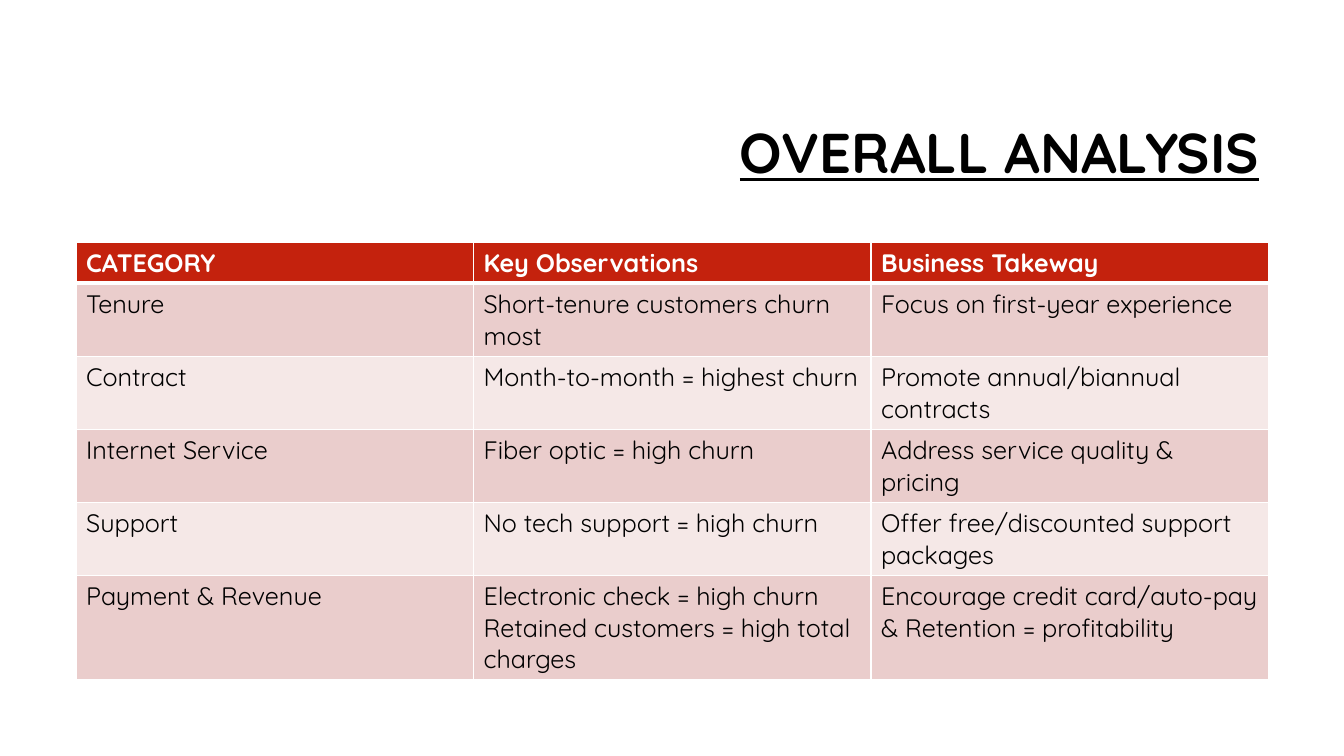
"""Build the overall churn analysis slide with a title and a summary table."""
from dataclasses import dataclass

import pptx
import pptx.dml.color
import pptx.enum.text
import pptx.oxml
import pptx.oxml.ns
import pptx.util


@dataclass(frozen=True)
class Theme:
    font: str = "Quicksand"
    title_size: int = 40
    table_size: int = 18
    text: str = "000000"
    white: str = "FFFFFF"
    header: str = "C4220D"
    bands: tuple = ("EACDCC", "F5E8E7")


theme = Theme()
Pt = pptx.util.Pt


def style(p, size, color, bold):
    for r in p.runs:
        r.font.name = theme.font
        r.font.size = Pt(size)
        r.font.bold = bold
        r.font.color.rgb = pptx.dml.color.RGBColor.from_string(color)


def add_border(cell, side, width):
    cell._tc.get_or_add_tcPr().append(pptx.oxml.parse_xml(
        f'<a:{side} {pptx.oxml.ns.nsdecls("a")} w="{Pt(width)}">'
        f'<a:solidFill><a:srgbClr val="{theme.white}"/></a:solidFill></a:{side}>'))


prs = pptx.Presentation()
prs.slide_width = Pt(960)
prs.slide_height = Pt(540)
s = prs.slides.add_slide(prs.slide_layouts[6])

title = s.shapes.add_textbox(Pt(228.24), Pt(60.5), Pt(678.24), Pt(101.5))
tf = title.text_frame
tf.word_wrap = True
tf.vertical_anchor = pptx.enum.text.MSO_ANCHOR.MIDDLE
tf.text = "OVERALL ANALYSIS"
p = tf.paragraphs[0]
p.alignment = pptx.enum.text.PP_ALIGN.RIGHT
p.line_spacing = 0.9
style(p, theme.title_size, theme.text, True)
p.runs[0].font.underline = True

rows = [
    ("CATEGORY", "Key Observations", "Business Takeway"),
    ("Tenure", "Short-tenure customers churn most", "Focus on first-year experience"),
    ("Contract", "Month-to-month = highest churn", "Promote annual/biannual contracts"),
    ("Internet Service", "Fiber optic = high churn", "Address service quality & pricing"),
    ("Support", "No tech support = high churn", "Offer free/discounted support packages"),
    ("Payment & Revenue",
     "Electronic check = high churn\nRetained customers = high total charges",
     "Encourage credit card/auto-pay & Retention = profitability"),
]
row_heights = [29.5] + [52.2] * 4 + [74.7]
table = s.shapes.add_table(len(rows), 3, Pt(54.3), Pt(172.8),
                           Pt(851.76), Pt(sum(row_heights))).table
for column in table.columns:
    column.width = Pt(283.92)

for i, (values, height) in enumerate(zip(rows, row_heights)):
    table.rows[i].height = Pt(height)
    is_header = i == 0
    fill = theme.header if is_header else theme.bands[(i - 1) % 2]
    color = theme.white if is_header else theme.text
    borders = {"lnL": 1, "lnR": 1, "lnT": 3 if i == 1 else 1, "lnB": 3 if is_header else 1}
    for j, value in enumerate(values):
        cell = table.cell(i, j)
        for side, width in borders.items():
            add_border(cell, side, width)
        cell.fill.solid()
        cell.fill.fore_color.rgb = pptx.dml.color.RGBColor.from_string(fill)
        cell.text_frame.text = value
        for p in cell.text_frame.paragraphs:
            style(p, theme.table_size, color, is_header)

prs.save("out.pptx")
